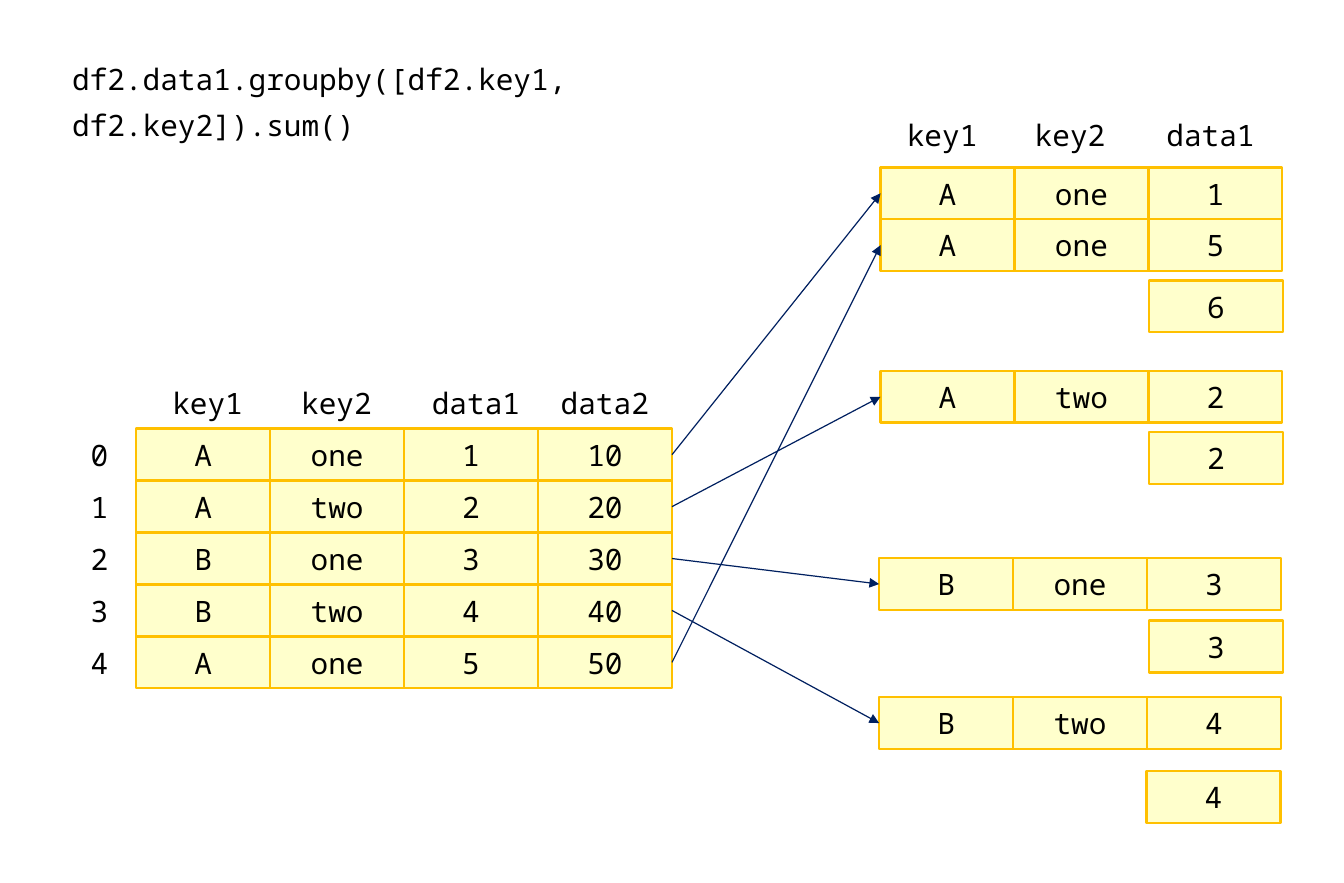
from dataclasses import dataclass

from pptx import Presentation
from pptx.dml.color import RGBColor
from pptx.enum.shapes import MSO_CONNECTOR, MSO_SHAPE
from pptx.enum.text import MSO_ANCHOR, MSO_AUTO_SIZE, PP_ALIGN
from pptx.oxml.ns import qn
from pptx.util import Cm, Pt
from lxml.etree import SubElement


@dataclass(frozen=True)
class Theme:
    font: str = "Noto Sans Mono"
    size: Pt = Pt(18)
    ink: RGBColor = RGBColor(0x00, 0x00, 0x00)
    cell: RGBColor = RGBColor(0xFF, 0xFF, 0xCC)
    border: RGBColor = RGBColor(0xFF, 0xC0, 0x00)
    arrow: RGBColor = RGBColor(0x00, 0x20, 0x60)


theme = Theme()


def write(text, *, frame, align=PP_ALIGN.CENTER, anchor=MSO_ANCHOR.MIDDLE, spacing=1.0):
    frame.word_wrap = True
    frame.auto_size = MSO_AUTO_SIZE.NONE
    frame.vertical_anchor = anchor
    paragraph = frame.paragraphs[0]
    paragraph.alignment = align
    paragraph.line_spacing = spacing
    run = paragraph.add_run()
    run.text = text
    run.font.name = theme.font
    run.font.size = theme.size
    run.font.color.rgb = theme.ink


def add_cell(value, left, top):
    cell = slide.shapes.add_shape(
        MSO_SHAPE.RECTANGLE, Cm(left), Cm(top), Cm(CELL_WIDTH), Cm(CELL_HEIGHT))
    cell.shadow.inherit = False
    cell.fill.solid()
    cell.fill.fore_color.rgb = theme.cell
    cell.line.color.rgb = theme.border
    cell.line.width = Pt(1.5)
    write(str(value), frame=cell.text_frame)
    return cell


CELL_WIDTH, CELL_HEIGHT = 2.89, 1.12
SOURCE_LEFT, SOURCE_TOP = 2.94, 9.25

records = [
    ("A", "one", 1, 10),
    ("A", "two", 2, 20),
    ("B", "one", 3, 30),
    ("B", "two", 4, 40),
    ("A", "one", 5, 50),
]
groups = [
    (19.0, 3.61, 24.79, 6.05, [0, 4]),
    (19.0, 8.0, 24.79, 9.32, [1]),
    (18.97, 12.04, 24.79, 13.39, [2]),
    (18.97, 15.04, 24.74, 16.64, [3]),
]
labels = [
    ("key1", 2.92, 8.13, 3.12),
    ("key2", 5.51, 8.13, 3.5),
    ("data1", 8.71, 8.13, 3.12),
    ("data2", 11.3, 8.13, 3.5),
    ("key1", 18.77, 2.34, 3.12),
    ("key2", 21.34, 2.34, 3.5),
    ("data1", 24.56, 2.34, 3.12),
]
labels += [(str(row), 1.37, SOURCE_TOP + row * CELL_HEIGHT, 1.55)
           for row in range(len(records))]

presentation = Presentation()
presentation.slide_width, presentation.slide_height = Cm(29), Cm(19.05)
slide = presentation.slides.add_slide(presentation.slide_layouts[5])

expression = slide.shapes.title
expression.left, expression.top = Cm(1.3), Cm(0.97)
expression.width, expression.height = Cm(16.33), Cm(1.17)
write("df2.data1.groupby([df2.key1, df2.key2]).sum()", frame=expression.text_frame,
      align=PP_ALIGN.LEFT, anchor=MSO_ANCHOR.TOP, spacing=1.3)

for text, left, top, width in labels:
    label = slide.shapes.add_textbox(Cm(left), Cm(top), Cm(width), Cm(CELL_HEIGHT))
    write(text, frame=label.text_frame)

source_ends = []
for row, record in enumerate(records):
    for column, value in enumerate(record):
        source_cell = add_cell(value, SOURCE_LEFT + column * CELL_WIDTH,
                               SOURCE_TOP + row * CELL_HEIGHT)
    source_ends.append(source_cell)

for group_left, group_top, sum_left, sum_top, members in groups:
    for position, row in enumerate(members):
        member_cells = [
            add_cell(value, group_left + column * CELL_WIDTH,
                     group_top + position * CELL_HEIGHT)
            for column, value in enumerate(records[row][:3])]
        arrow = slide.shapes.add_connector(MSO_CONNECTOR.STRAIGHT, 0, 0, 0, 0)
        arrow.begin_connect(source_ends[row], 3)
        arrow.end_connect(member_cells[0], 1)
        arrow.line.color.rgb = theme.arrow
        arrow.line.width = Pt(0.75)
        SubElement(arrow.line._get_or_add_ln(), qn("a:tailEnd"), type="triangle")
        SubElement(arrow._element.spPr, qn("a:effectLst"))
    add_cell(sum(records[row][2] for row in members), sum_left, sum_top)

presentation.save("out.pptx")
